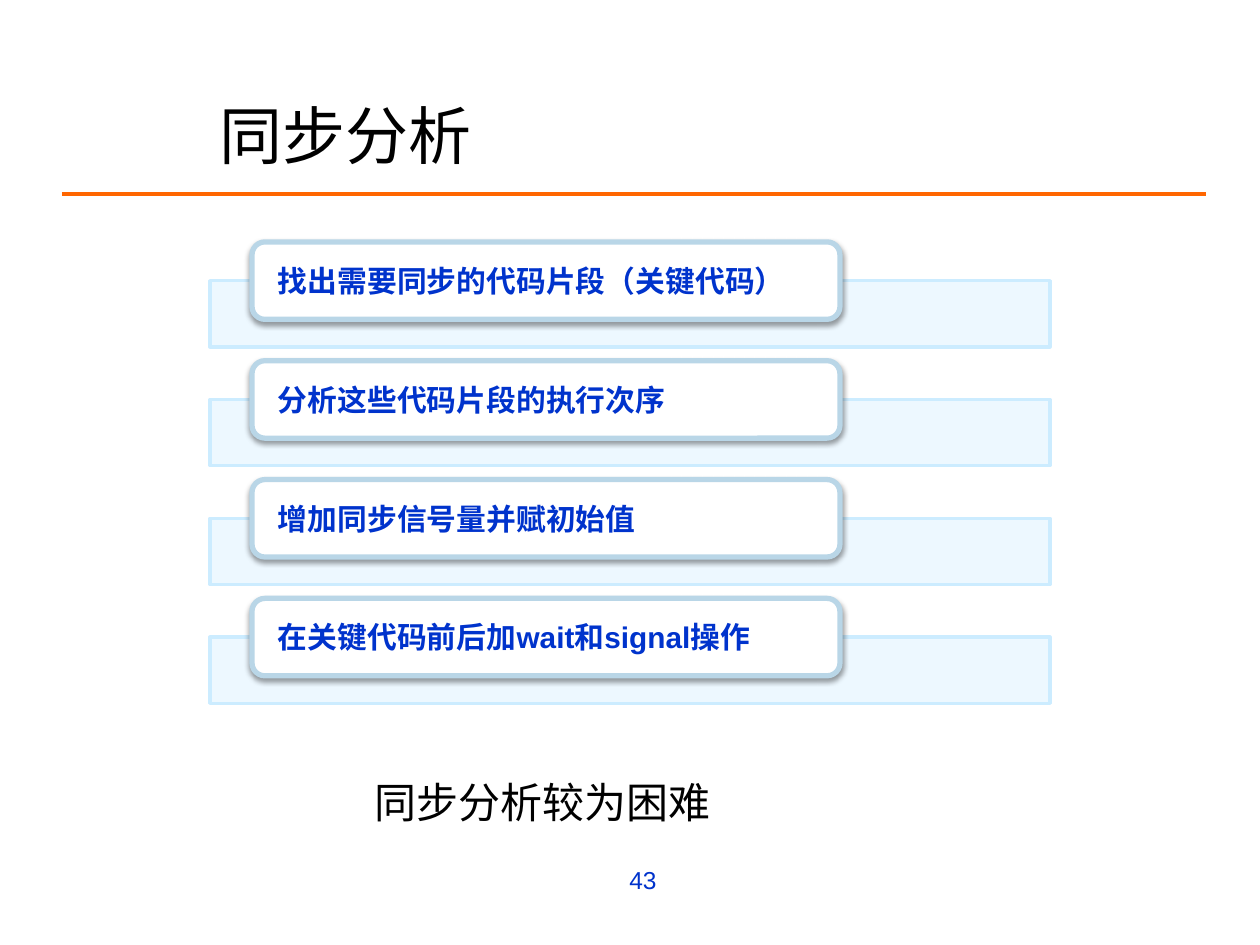
from lxml import etree
from pptx import Presentation
from pptx.dml.color import RGBColor
from pptx.enum.shapes import MSO_CONNECTOR, MSO_SHAPE
from pptx.enum.text import MSO_ANCHOR, MSO_AUTO_SIZE, PP_ALIGN
from pptx.oxml.ns import qn
from pptx.util import Pt

RECT, ROUNDED = MSO_SHAPE.RECTANGLE, MSO_SHAPE.ROUNDED_RECTANGLE
STRAIGHT = MSO_CONNECTOR.STRAIGHT
TOP, MIDDLE = MSO_ANCHOR.TOP, MSO_ANCHOR.MIDDLE
LEFT, RIGHT = PP_ALIGN.LEFT, PP_ALIGN.RIGHT
NO_FIT = MSO_AUTO_SIZE.NONE

TITLE = "同步分析"
STEPS = [
    "找出需要同步的代码片段（关键代码）",
    "分析这些代码片段的执行次序",
    "增加同步信号量并赋初始值",
    "在关键代码前后加wait和signal操作",
]
REMARK = "同步分析较为困难"
PAGE_NUMBER = "43"

FONT = "Arial"
COLORS = {
    "text": "000000", "accent": "0033CC", "rule": "FF6600",
    "band": "ECF8FF", "band_line": "CCECFF",
    "card": "FFFFFF", "card_line": "B9D6E7", "shadow": "000000",
}
BAND_LEFT, BAND_TOP, BAND_WIDTH, BAND_HEIGHT = 120, 160.4, 480, 37.8
CARD_LEFT, CARD_TOP, CARD_WIDTH, CARD_HEIGHT = 144, 138.24, 336, 44.28
STEP_PITCH = 67.9


def color(name):
    return RGBColor.from_string(COLORS[name])


def place(shape, left, top, width, height):
    shape.left, shape.top = Pt(left), Pt(top)
    shape.width, shape.height = Pt(width), Pt(height)


def write(shape, text, size, color_name, anchor, align=LEFT, bold=False):
    """Fill the shape's first paragraph and return that paragraph."""
    frame = shape.text_frame
    frame.word_wrap = True
    frame.auto_size = NO_FIT
    frame.vertical_anchor = anchor
    paragraph = frame.paragraphs[0]
    paragraph.alignment = align
    run = paragraph.add_run()
    run.text = text
    run.font.name, run.font.size, run.font.bold = FONT, Pt(size), bold
    run.font.color.rgb = color(color_name)
    return paragraph


def add_box(slide, kind, bounds, fill, line, line_width):
    box = slide.shapes.add_shape(kind, *map(Pt, bounds))
    box.shadow.inherit = False
    box.fill.solid()
    box.fill.fore_color.rgb = color(fill)
    box.line.color.rgb = color(line)
    box.line.width = Pt(line_width)
    return box


def set_alpha(color_element, percent):
    etree.SubElement(color_element, qn("a:alpha"), val=str(percent * 1000))


def add_drop_shadow(box):
    effects = box._element.spPr.find(qn("a:effectLst"))
    shadow = etree.SubElement(
        effects, qn("a:outerShdw"), blurRad=str(Pt(3.1)), dist=str(Pt(1.6)),
        dir="5400000", rotWithShape="0")
    set_alpha(etree.SubElement(shadow, qn("a:srgbClr"), val=COLORS["shadow"]), 38)


def add_step(slide, index, text):
    offset = index * STEP_PITCH
    band = add_box(slide, RECT, (BAND_LEFT, BAND_TOP + offset, BAND_WIDTH, BAND_HEIGHT),
                   "band", "band_line", 2)
    set_alpha(band._element.spPr.find(qn("a:solidFill"))[0], 90)

    card = add_box(slide, ROUNDED, (CARD_LEFT, CARD_TOP + offset, CARD_WIDTH, CARD_HEIGHT),
                   "card", "card_line", 3)
    add_drop_shadow(card)
    frame = card.text_frame
    frame.margin_left = frame.margin_right = Pt(12.7)
    frame.margin_top = frame.margin_bottom = 0
    write(card, text, 17, "accent", MIDDLE, bold=True)


def main():
    deck = Presentation()
    deck.slide_width, deck.slide_height = Pt(720), Pt(540)
    slide = deck.slides.add_slide(deck.slide_layouts[1])

    rule = slide.shapes.add_connector(STRAIGHT, Pt(35.4), Pt(110.8), Pt(689), Pt(110.8))
    rule.line.color.rgb = color("rule")
    rule.line.width = Pt(2.25)
    etree.SubElement(rule._element.spPr, qn("a:effectLst"))

    title = slide.shapes.title
    place(title, 118, 54, 522.7, 46)
    write(title, TITLE, 36, "text", MIDDLE)

    remark = slide.placeholders[1]
    place(remark, 206.6, 440, 278, 53.3)
    paragraph = write(remark, REMARK, 24, "text", TOP)
    paragraph.space_before = Pt(0)
    properties = paragraph._p.get_or_add_pPr()
    properties.set("marL", "0")
    properties.set("indent", "0")
    etree.SubElement(properties, qn("a:buNone"))

    page = slide.shapes.add_textbox(Pt(201.6), Pt(491), Pt(180.7), Pt(37.4))
    write(page, PAGE_NUMBER, 14, "accent", TOP, RIGHT)

    for index, text in enumerate(STEPS):
        add_step(slide, index, text)

    deck.save("out.pptx")


if __name__ == "__main__":
    main()
